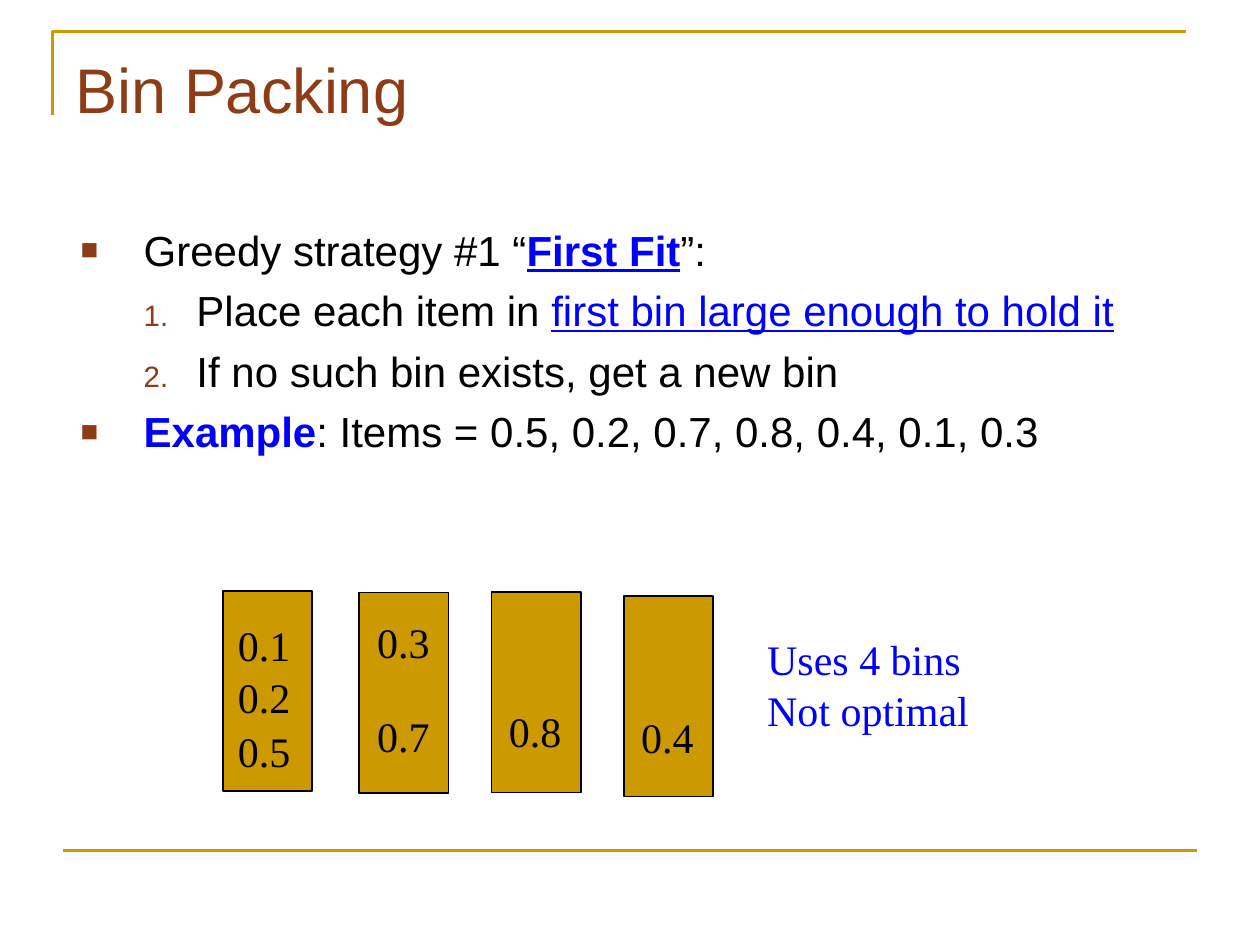
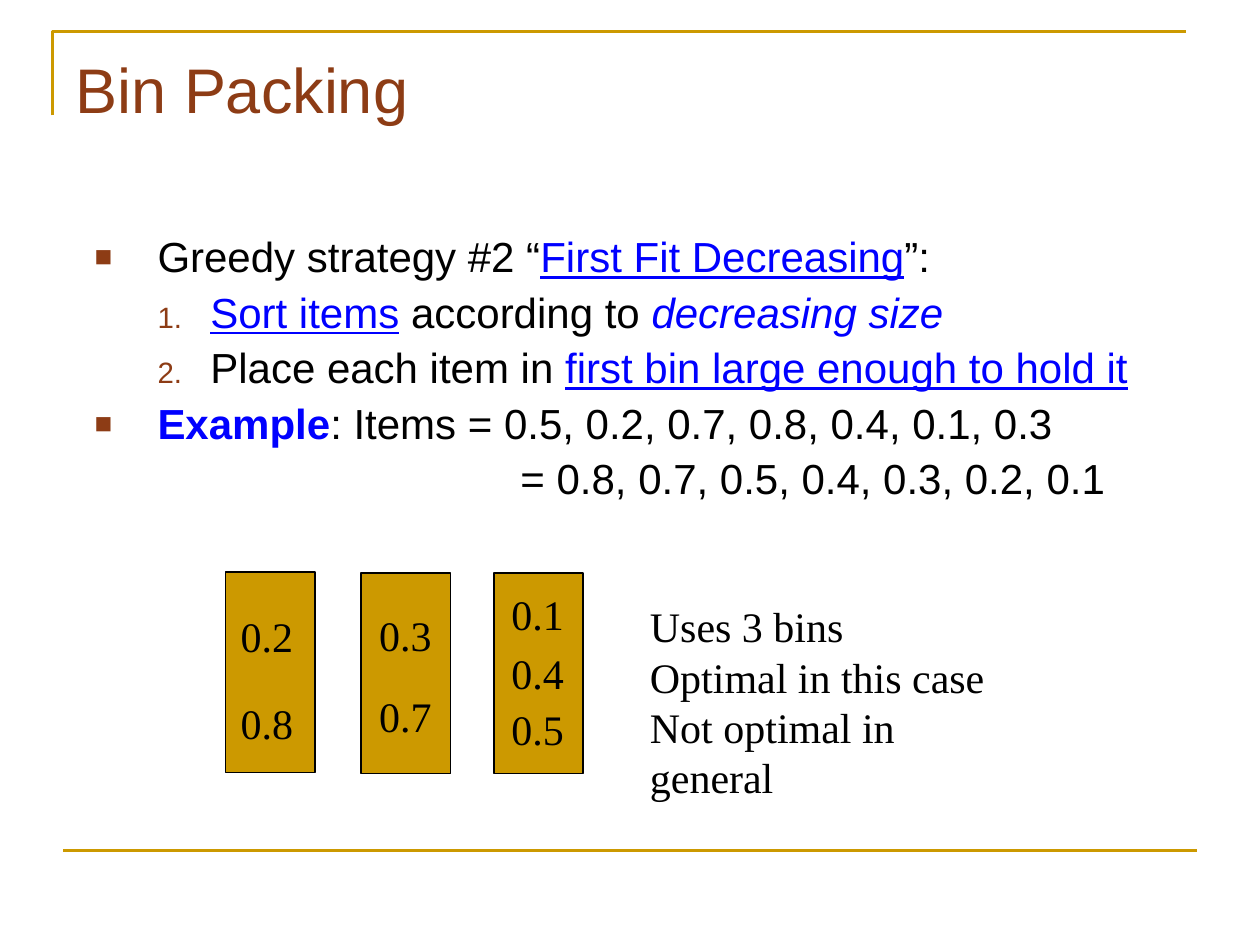
from lxml import etree
from pptx import Presentation
from pptx.dml.color import RGBColor
from pptx.enum.shapes import MSO_CONNECTOR, MSO_SHAPE
from pptx.enum.text import MSO_ANCHOR, MSO_AUTO_SIZE, PP_ALIGN
from pptx.oxml.ns import qn
from pptx.util import Pt

RECTANGLE = MSO_SHAPE.RECTANGLE
STRAIGHT = MSO_CONNECTOR.STRAIGHT
TOP = MSO_ANCHOR.TOP
LEFT = PP_ALIGN.LEFT
NO_AUTOFIT = MSO_AUTO_SIZE.NONE

GOLD = RGBColor(0xCC, 0x99, 0x00)
BROWN = RGBColor(0x8D, 0x3C, 0x15)
BLUE = RGBColor(0x00, 0x00, 0xFF)
BLACK = RGBColor(0x00, 0x00, 0x00)
SANS = "Arial"
SERIF = "Times New Roman"

BIN_WIDTH, BIN_HEIGHT = 51.1, 114.5
ITEM_WIDTH, ITEM_HEIGHT = 44.6, 36
ITEM_OFFSETS = (1.5, 3.2, 2.9, 2.9)  # from the left edge of each bin

PLAIN = {}
KEY = {"color": BLUE}
BOLD = {"color": BLUE, "bold": True}
UNDERLINED = {"color": BLUE, "underline": True}
BOLD_UNDERLINED = {"color": BLUE, "bold": True, "underline": True}
ITALIC = {"color": BLUE, "italic": True}

# Left margin, first-line indent, bullet tag and its attributes
LEVELS = {
    "point": (36, -36, "a:buChar", {"char": "■"}),
    "step": (66.2, -30.2, "a:buAutoNum", {"type": "arabicPeriod"}),
    "continued": (243.4, 0, "a:buNone", {}),
}

EXAMPLE = ("point", [("Example", BOLD),
                     (": Items = 0.5, 0.2, 0.7, 0.8, 0.4, 0.1, 0.3", PLAIN)])
PLACE_ITEM = ("step", [("Place each item in ", PLAIN),
                       ("first bin large enough to hold it", UNDERLINED)])

SLIDES = [
    {
        "body_box": (38.9, 121, 648, 193),
        "line_spacing": 1.0,
        "body": [
            ("point", [("Greedy strategy #1 “", PLAIN),
                       ("First Fit", BOLD_UNDERLINED), ("”:", PLAIN)]),
            PLACE_ITEM,
            ("step", [("If no such bin exists, get a new bin", PLAIN)]),
            EXAMPLE,
        ],
        # Bin left and top, then each item with its top
        "bins": [
            (127.4, 337.7, [("0.1", 350.6), ("0.2", 380.2), ("0.5", 411.1)]),
            (205.2, 338.6, [("0.3", 348.5), ("0.7", 402.5)]),
            (280.8, 338.4, [("0.8", 399.6)]),
            (356.4, 340.6, [("0.4", 403.2)]),
        ],
        "note_box": (431.3, 358.6, 145.4, 65),
        "note_style": KEY,
        "note": ["Uses 4 bins", "Not optimal"],
    },
    {
        "body_box": (46.8, 128.2, 630, 360.7),
        "line_spacing": 0.9,
        "body": [
            ("point", [("Greedy strategy #2 “", PLAIN),
                       ("First Fit Decreasing", UNDERLINED), ("”:", PLAIN)]),
            ("step", [("Sort items", UNDERLINED), (" according to ", PLAIN),
                      ("decreasing size", ITALIC)]),
            PLACE_ITEM,
            EXAMPLE,
            ("continued", [("= 0.8, 0.7, 0.5, 0.4, 0.3, 0.2, 0.1", PLAIN)]),
        ],
        "bins": [
            (128.9, 326.9, [("0.2", 345.6), ("0.8", 395.3)]),
            (206.4, 327.6, [("0.3", 344.9), ("0.7", 391)]),
            (282.2, 327.6, [("0.1", 332.6), ("0.4", 366.5), ("0.5", 398.2)]),
        ],
        "note_box": (364.3, 339.8, 216, 122),
        "note_style": PLAIN,
        "note": ["Uses 3 bins", "Optimal in this case", "Not optimal in general"],
    },
]


def add_run(paragraph, text, name, style, size=24):
    run = paragraph.add_run()
    run.text = text
    run.font.name = name
    run.font.size = Pt(size)
    for attribute, value in ({"color": BLACK} | style).items():
        if attribute == "color":
            run.font.color.rgb = value
        else:
            setattr(run.font, attribute, value)


def prepare_placeholder(placeholder, box):
    """Move a placeholder and return its frame, top-anchored with a fixed text size."""
    placeholder.left, placeholder.top, placeholder.width, placeholder.height = map(Pt, box)
    frame = placeholder.text_frame
    settings = {"vertical_anchor": TOP, "auto_size": NO_AUTOFIT,
                "word_wrap": True, "margin_top": Pt(7)}
    for attribute, value in settings.items():
        setattr(frame, attribute, value)
    return frame


presentation = Presentation()
presentation.slide_width, presentation.slide_height = Pt(720), Pt(540)
layout = presentation.slide_layouts[1]

for number, content in enumerate(SLIDES):
    slide = presentation.slides.add_slide(layout)
    shapes = slide.shapes

    # The gold frame belongs to the layout, so it is drawn once and moved there
    if number == 0:
        builder = shapes.build_freeform(Pt(30), Pt(66))
        builder.add_line_segments([(Pt(30), Pt(18)), (Pt(678), Pt(18))], close=False)
        corner = builder.convert_to_shape()
        corner.fill.background()
        corner.shadow.inherit = False
        footer_line = shapes.add_connector(STRAIGHT, Pt(36), Pt(486), Pt(684), Pt(486))
        etree.SubElement(footer_line.element.spPr, qn("a:effectLst"))
        for shape_id, shape in enumerate((corner, footer_line), start=101):
            shape.line.color.rgb = GOLD
            shape.line.width = Pt(1.5)
            shape.element.xpath(".//p:cNvPr")[0].set("id", str(shape_id))
            layout.shapes.element.append(shape.element)

    title = prepare_placeholder(shapes.title, (36, 21.6, 648, 90)).paragraphs[0]
    title.alignment = LEFT
    add_run(title, "Bin Packing", SANS, {"color": BROWN}, size=36)

    body = prepare_placeholder(slide.placeholders[1], content["body_box"])
    for index, (level, runs) in enumerate(content["body"]):
        paragraph = body.paragraphs[0] if index == 0 else body.add_paragraph()
        paragraph.line_spacing = content["line_spacing"]
        paragraph.space_before = Pt(5.8 if index else 0)
        margin, indent, bullet_tag, bullet_attributes = LEVELS[level]
        properties = paragraph._p.get_or_add_pPr()
        properties.set("marL", str(Pt(margin)))
        properties.set("indent", str(Pt(indent)))
        if level != "continued":
            bullet_color = etree.SubElement(properties, qn("a:buClr"))
            etree.SubElement(bullet_color, qn("a:srgbClr"), val=str(BROWN))
            etree.SubElement(properties, qn("a:buSzPct"), val="70000")
            etree.SubElement(properties, qn("a:buFont"), typeface=SANS)
        etree.SubElement(properties, qn(bullet_tag), bullet_attributes)
        for text, style in runs:
            add_run(paragraph, text, SANS, style)

    for (left, top, items), offset in zip(content["bins"], ITEM_OFFSETS):
        bin_box = shapes.add_shape(RECTANGLE, Pt(left), Pt(top), Pt(BIN_WIDTH), Pt(BIN_HEIGHT))
        bin_box.shadow.inherit = False
        bin_box.fill.solid()
        bin_box.fill.fore_color.rgb = GOLD
        bin_box.line.color.rgb = BLACK
        bin_box.line.width = Pt(1)
        for size, item_top in items:
            item = shapes.add_textbox(Pt(left + offset), Pt(item_top),
                                      Pt(ITEM_WIDTH), Pt(ITEM_HEIGHT))
            item.text_frame.word_wrap = False
            add_run(item.text_frame.paragraphs[0], size, SERIF, PLAIN)

    note = shapes.add_textbox(*map(Pt, content["note_box"])).text_frame
    note.word_wrap = True
    for index, text in enumerate(content["note"]):
        paragraph = note.paragraphs[0] if index == 0 else note.add_paragraph()
        add_run(paragraph, text, SERIF, content["note_style"])

presentation.save("out.pptx")
